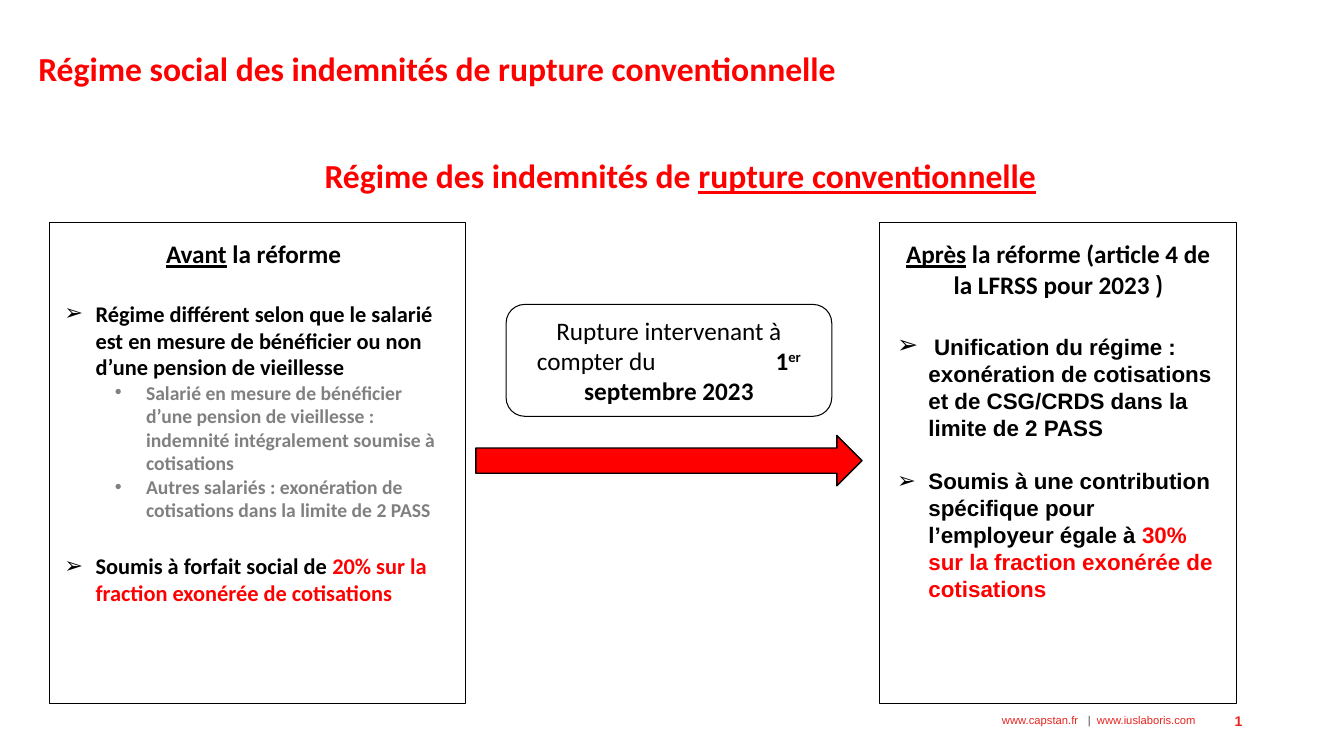
from dataclasses import dataclass

from lxml.etree import SubElement
from pptx import Presentation
from pptx.dml.color import RGBColor
from pptx.enum.shapes import MSO_SHAPE
from pptx.enum.text import MSO_ANCHOR, PP_ALIGN
from pptx.oxml.ns import qn
from pptx.util import Inches, Pt

BLACK = RGBColor(0x00, 0x00, 0x00)
RED = RGBColor(0xFF, 0x00, 0x00)
GRAY = RGBColor(0x80, 0x80, 0x80)
BRAND = RGBColor(0xE5, 0x25, 0x1F)
SLATE = RGBColor(0x4A, 0x4A, 0x49)
ARROW, DOT = "➢", "•"
HANG = 0.31


@dataclass
class Run:
    text: str
    size: float = 18
    color: RGBColor = BLACK
    bold: bool = True
    under: bool = False
    font: str = "Calibri"
    gap: int = 0  # extra letter spacing, hundredths of a point
    rise: int = 0  # superscript, thousandths of a percent


@dataclass
class Para:
    runs: list[Run]
    align: PP_ALIGN = PP_ALIGN.LEFT
    bullet: str = ""
    left: float = HANG
    before: float = 0
    line: float = 1.0


@dataclass
class Label:
    box: tuple[float, float, float, float]
    paras: list[Para]
    anchor: MSO_ANCHOR = MSO_ANCHOR.TOP
    inset: tuple[float, float] = (0.1, 0.1)


def write(frame, paras: list[Para]) -> None:
    frame.word_wrap = True
    for i, para in enumerate(paras):
        p = frame.paragraphs[0] if i == 0 else frame.add_paragraph()
        if para.bullet:
            props = p._p.get_or_add_pPr()
            props.set("marL", str(Inches(para.left)))
            props.set("indent", str(-Inches(HANG)))
            SubElement(props, qn("a:buFont")).set("typeface", "Arial")
            SubElement(props, qn("a:buChar")).set("char", para.bullet)
        p.alignment = para.align
        p.line_spacing = para.line
        p.space_before = Pt(para.before)
        for item in para.runs:
            run = p.add_run()
            run.text = item.text
            font = run.font
            font.name, font.size = item.font, Pt(item.size)
            font.bold, font.underline = item.bold, item.under
            font.color.rgb = item.color
            if item.gap:
                run._r.get_or_add_rPr().set("spc", str(item.gap))
            if item.rise:
                run._r.get_or_add_rPr().set("baseline", str(item.rise))


def add_label(slide, label: Label) -> None:
    frame = slide.shapes.add_textbox(*map(Inches, label.box)).text_frame
    frame.vertical_anchor = label.anchor
    frame.margin_left, frame.margin_right = map(Inches, label.inset)
    write(frame, label.paras)


def add_form(slide, kind: MSO_SHAPE, box: tuple[float, float, float, float],
             width: float = 0.75, fill: RGBColor | None = None):
    form = slide.shapes.add_shape(kind, *map(Inches, box))
    form.shadow.inherit = False
    if fill is None:
        form.fill.background()
    else:
        form.fill.solid()
        form.fill.fore_color.rgb = fill
    form.line.color.rgb = BLACK
    form.line.width = Pt(width)
    return form


MID, RIGHT = PP_ALIGN.CENTER, PP_ALIGN.RIGHT
LABELS = [
    Label((9.42, 6.95, 3, 0.4),
          [Para([Run("1", 10, BRAND, font="Arial")], RIGHT)], MSO_ANCHOR.MIDDLE),
    Label((7.23, 6.99, 4.63, 0.32), [Para([
        Run("www.capstan.fr", 8, BRAND, False, font="Arial"),
        Run(" ", 8, BRAND, False, font="Arial", gap=450),
        Run("|", 8, SLATE, False, font="Arial"),
        Run(" ", 8, SLATE, False, font="Arial", gap=220),
        Run("www.iuslaboris.com".replace(".com", ".com"), 8, BRAND, False, font="Arial"),
    ], RIGHT, line=0.9)], MSO_ANCHOR.MIDDLE, (0.1, 0)),
    Label((0.38, 0.21, 12.57, 0.94), [Para([
        Run("Régime social des indemnités de rupture conventionnelle", 24, RED),
    ])], MSO_ANCHOR.MIDDLE, (0, 0.1)),
    Label((3.12, 1.49, 8.48, 0.5), [Para([
        Run("Régime des indemnités de ", 24, RED),
        Run("rupture conventionnelle", 24, RED, under=True),
    ])]),
    Label((0.54, 2.32, 3.95, 4.6), [
        Para([Run("Avant", under=True), Run(" la réforme")], MID),
        Para([Run("Régime différent selon que le salarié est en mesure de "
                  "bénéficier ou non d’une pension de vieillesse", 16)],
             bullet=ARROW, before=22),
        Para([Run("Salarié en mesure de bénéficier d’une pension de vieillesse : "
                  "indemnité intégralement soumise à cotisations", 14, GRAY)],
             bullet=DOT, left=0.81),
        Para([Run("Autres salariés : exonération de cotisations dans la limite "
                  "de 2 PASS", 14, GRAY)], bullet=DOT, left=0.81),
        Para([Run("Soumis à forfait social de ", 16),
              Run("20% sur la fraction exonérée de cotisations", 16, RED)],
             bullet=ARROW, before=22),
    ]),
    Label((8.8, 2.32, 3.39, 4.04), [
        Para([Run("Après", under=True),
              Run(" la réforme (article 4 de la LFRSS pour 2023 "),
              Run(")", font="Cabin")], MID),
        Para([Run(" "),
              Run("Unification du régime : exonération de cotisations et de "
                  "CSG/CRDS dans la limite de 2 PASS", 16, font="Arial")],
             bullet=ARROW, before=22),
        Para([Run("Soumis à une contribution spécifique pour l’employeur égale à ",
                  16, font="Arial"),
              Run("30% sur la fraction exonérée de cotisations", 16, RED, font="Arial")],
             bullet=ARROW, before=19),
    ]),
]
DATE = [Para([
    Run("Rupture intervenant à compter du", bold=False),
    Run(" ", bold=False, gap=8160),
    Run("1"), Run("er", rise=30000), Run(" septembre 2023"),
], MID)]


def main() -> None:
    deck = Presentation()
    deck.slide_width, deck.slide_height = Inches(13.33), Inches(7.5)
    slide = deck.slides.add_slide(deck.slide_layouts[6])
    for left, width in ((0.49, 4.13), (8.72, 3.54)):
        add_form(slide, MSO_SHAPE.RECTANGLE, (left, 2.21, width, 4.77))
    for label in LABELS:
        add_label(slide, label)
    add_form(slide, MSO_SHAPE.RIGHT_ARROW, (4.72, 4.32, 3.83, 0.5), 1, RED)
    date = add_form(slide, MSO_SHAPE.ROUNDED_RECTANGLE, (5.02, 3.02, 3.23, 1.11))
    write(date.text_frame, DATE)
    deck.save("out.pptx")


if __name__ == "__main__":
    main()
